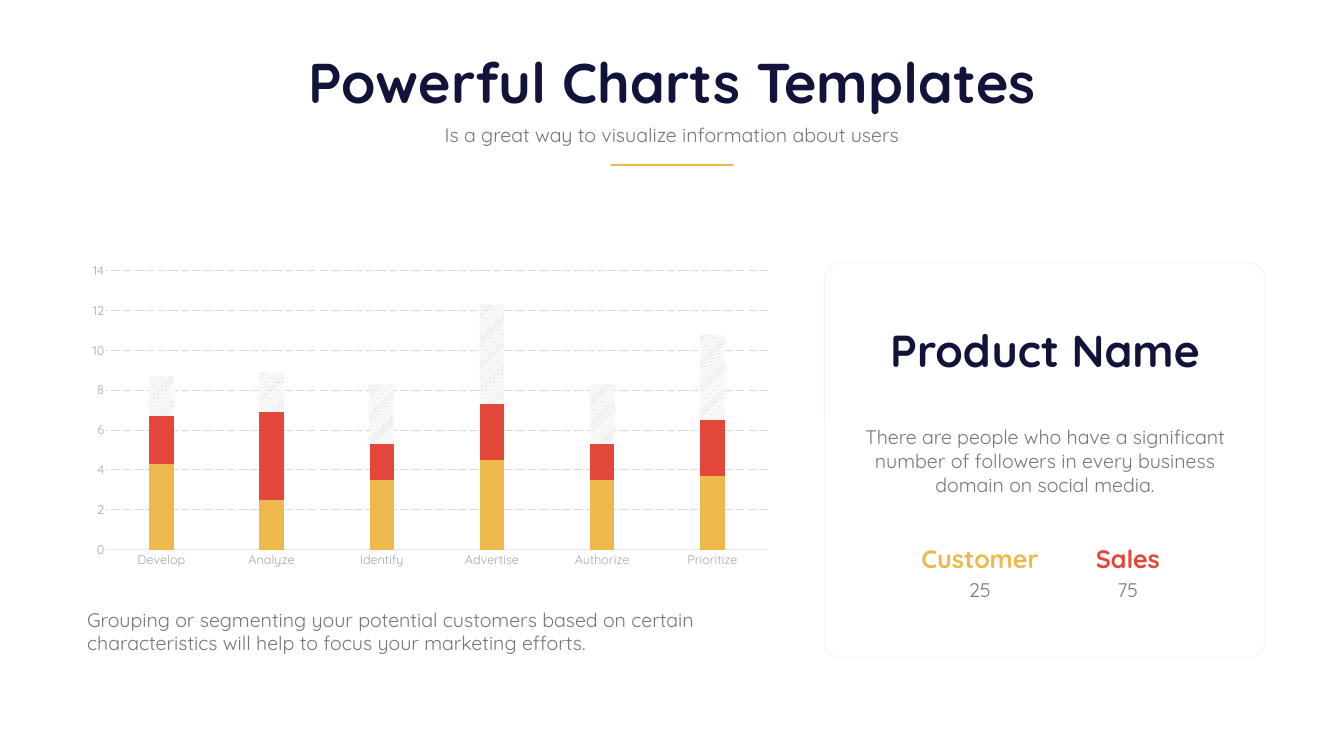
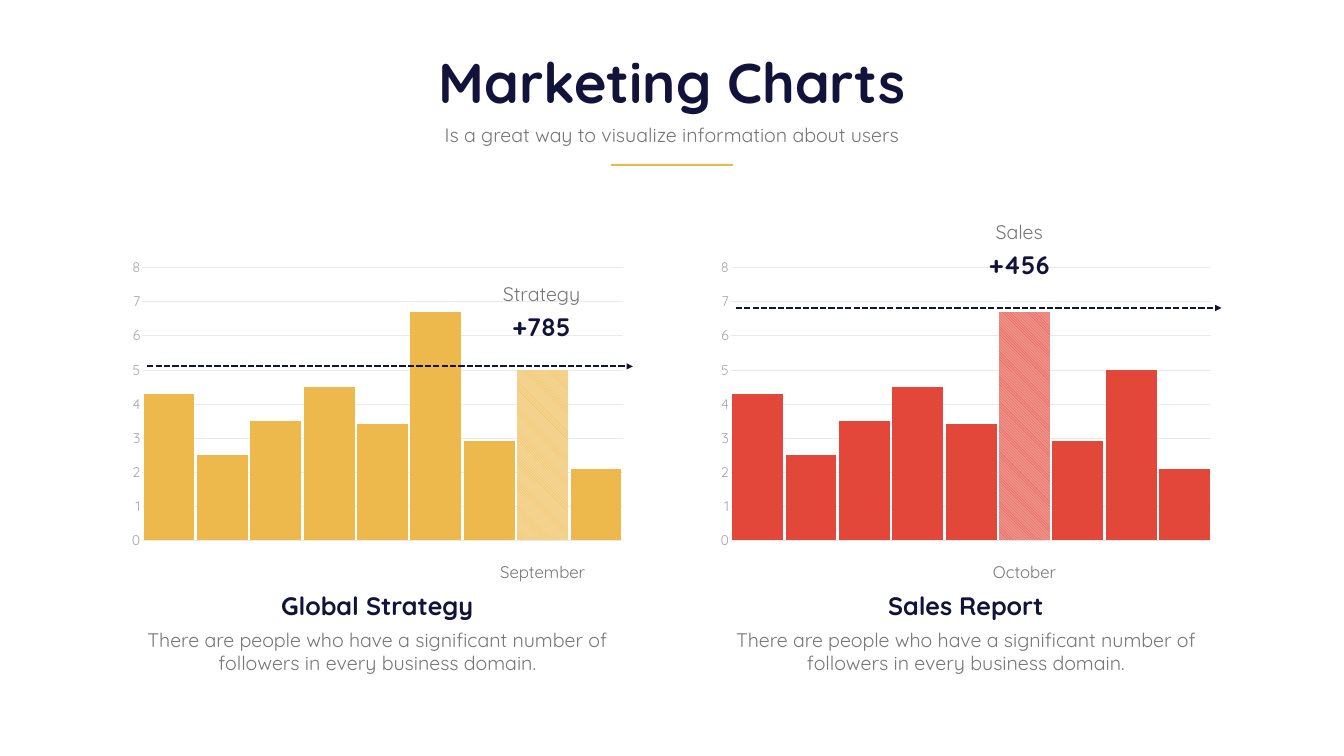
from lxml import etree
from pptx import Presentation
from pptx import util as u
from pptx.chart.data import CategoryChartData
from pptx.dml.color import RGBColor
from pptx.enum import chart as charts, dml, shapes, text
from pptx.oxml import parse_xml
from pptx.oxml.ns import nsdecls, qn

FONT = "Quicksand"
NAVY = RGBColor(0x11, 0x13, 0x3A)
GRAY = RGBColor(0x77, 0x76, 0x78)
AXIS_GRAY = RGBColor(0xA7, 0xA6, 0xA7)
GRID_GRAY = RGBColor(0xD9, 0xD9, 0xD9)
PALE_GRAY = RGBColor(0xEB, 0xEA, 0xEB)
HATCH_GRAY = RGBColor(0xBF, 0xBF, 0xBF)
CARD_EDGE = RGBColor(0xF0, 0xF1, 0xFA)
YELLOW = RGBColor(0xEE, 0xB9, 0x4C)
PALE_YELLOW = RGBColor(0xF5, 0xD5, 0x94)
RED = RGBColor(0xE3, 0x47, 0x39)
PALE_RED = RGBColor(0xEE, 0x91, 0x88)
WHITE = RGBColor(0xFF, 0xFF, 0xFF)

PAGE_W, PAGE_H = 26.67, 15
LINE_PITCH = 40.8
SUBTITLE = "Is a great way to visualize information about users"

STAGES = ["Develop", "Analyze", "Identify", "Advertise", "Authorize", "Prioritize"]
STAGE_SERIES = [
    ("Series 1", [4.3, 2.5, 3.5, 4.5, 3.5, 3.7]),
    ("Series 2", [2.4, 4.4, 1.8, 2.8, 1.8, 2.8]),
    ("Series 3", [2, 2, 3, 5, 3, 4.3]),
]
STAGE_NOTE = ("Grouping or segmenting your potential customers based on certain "
              "characteristics will help to focus your marketing efforts.")
PRODUCT_NOTE = ("There are people who have a significant number of followers "
                "in every business domain on social media.")
# label, value, colour, left, width
PRODUCT_STATS = [("Customer", "25", YELLOW, 18.07, 2.75),
                 ("Sales", "75", RED, 21.36, 2.04)]

MONTHS = [str(number) for number in range(1, 10)]
MONTH_SERIES = [("Series 1", [4.3, 2.5, 3.5, 4.5, 3.4, 6.7, 2.9, 5, 2.1])]
PANEL_NOTE = ("There are people who have a significant number of followers "
              "in every business domain.")
PANELS = [
    dict(heading="Global Strategy", color=YELLOW, pale=PALE_YELLOW, marked=7,
         month="September", arrow_y=7.27, label="Strategy", gain="+785",
         callout=(8.99, 5.55)),
    dict(heading="Sales Report", color=RED, pale=PALE_RED, marked=5,
         month="October", arrow_y=6.11, label="Sales", gain="+456",
         callout=(18.47, 4.32)),
]
PANEL_LEFT, PANEL_STEP = 2.42, 11.68
PANEL_CHART_W = 10.14
PLOT_X, PLOT_W = 0.04, 0.94


def inches(*values):
    return [u.Inches(value) for value in values]


def write(frame, words, size, color, bold=False, align=text.PP_ALIGN.CENTER, pitch=None):
    frame.word_wrap = True
    para = frame.paragraphs[0]
    para.alignment = align
    if pitch:
        para.line_spacing = u.Pt(pitch)
    span = para.add_run()
    span.text = words
    font = span.font
    font.name, font.size, font.bold = FONT, u.Pt(size), bold
    font.color.rgb = color


def add_text(page, at, words, size=28, color=GRAY, **style):
    box = page.shapes.add_textbox(*inches(*at))
    write(box.text_frame, words, size, color, **style)
    return box


def add_panel(page, kind, at, fill, edge=None):
    shape = page.shapes.add_shape(kind, *inches(*at))
    shape.shadow.inherit = False
    shape.fill.solid()
    shape.fill.fore_color.rgb = fill
    if edge is None:
        shape.line.fill.background()
    else:
        shape.line.color.rgb = edge
        shape.line.width = u.Pt(1)
    return shape


def add_page(deck, title, title_w):
    """Add a slide with the shared title, subtitle and yellow rule."""
    page = deck.slides.add_slide(deck.slide_layouts[5])
    heading = page.shapes.title
    heading.left, heading.top, heading.width, heading.height = inches(
        (PAGE_W - title_w) / 2, 0.9, title_w, 1.45)
    frame = heading.text_frame
    frame.auto_size = text.MSO_AUTO_SIZE.NONE
    frame.vertical_anchor = text.MSO_ANCHOR.TOP
    write(frame, title, 80, NAVY, bold=True)
    add_text(page, (8.55, 2.38, 9.56, 0.57), SUBTITLE)
    add_panel(page, shapes.MSO_SHAPE.RECTANGLE, (12.12, 3.25, 2.43, 0.04), YELLOW)
    return page


def fix_plot(chart, x, y, w, h):
    """Pin the inner plot area, in fractions of the chart frame."""
    area = chart._chartSpace.chart.plotArea
    for old in area.findall(qn("c:layout")):
        area.remove(old)
    values = dict(x=x, y=y, w=w, h=h)
    parts = "".join(f'<c:{key} val="{value}"/>' for key, value in values.items())
    area.insert(0, parse_xml(
        f'<c:layout {nsdecls("c")}><c:manualLayout><c:layoutTarget val="inner"/>'
        f'<c:xMode val="edge"/><c:yMode val="edge"/>{parts}</c:manualLayout></c:layout>'))


def style_axis(axis, size):
    axis.major_tick_mark = axis.minor_tick_mark = charts.XL_TICK_MARK.NONE
    font = axis.tick_labels.font
    font.name, font.size = FONT, u.Pt(size)
    font.color.rgb = AXIS_GRAY


def add_columns(page, at, names, series, size, top, unit, gap, overlap):
    data = CategoryChartData()
    data.categories = names
    for name, values in series:
        data.add_series(name, values)
    chart = page.shapes.add_chart(
        charts.XL_CHART_TYPE.COLUMN_STACKED, *inches(*at), data).chart
    chart.has_legend = chart.has_title = False
    chart.font.name, chart.font.size = FONT, u.Pt(size)
    chart.font.color.rgb = GRAY
    plot = chart.plots[0]
    plot.gap_width, plot.overlap, plot.vary_by_categories = gap, overlap, False
    for column in plot.series:
        column.invert_if_negative = False
    style_axis(chart.category_axis, size)
    chart.category_axis.format.line.color.rgb = PALE_GRAY
    chart.category_axis.format.line.width = u.Pt(0.75)
    scale = chart.value_axis
    style_axis(scale, size)
    scale.minimum_scale, scale.maximum_scale, scale.major_unit = 0, top, unit
    scale.format.line.fill.background()
    scale.has_major_gridlines = True
    return chart


def style_grid(chart, color, width, dash=None):
    line = chart.value_axis.major_gridlines.format.line
    line.color.rgb = color
    line.width = u.Pt(width)
    line.dash_style = dash


def paint(item, color):
    item.format.fill.solid()
    item.format.fill.fore_color.rgb = color


def hatch(item, pattern, front, back):
    fill = item.format.fill
    fill.patterned()
    fill.pattern = pattern
    fill.fore_color.rgb = front
    fill.back_color.rgb = back


def add_dashed_arrow(page, left, right, y):
    arrow = page.shapes.add_connector(
        shapes.MSO_CONNECTOR.STRAIGHT, *inches(left, y, right, y))
    arrow.line.color.rgb = NAVY
    arrow.line.width = u.Pt(3)
    arrow.line.dash_style = dml.MSO_LINE.SQUARE_DOT
    props = arrow._element.spPr
    etree.SubElement(props.find(qn("a:ln")), qn("a:tailEnd"), type="triangle")
    etree.SubElement(props, qn("a:effectLst"))


def build_stage_page(deck):
    page = add_page(deck, "Powerful Charts Templates", 18.9)
    chart = add_columns(page, (1.55, 5.12, 13.96, 6.29), STAGES, STAGE_SERIES,
                        size=18, top=14, unit=2, gap=350, overlap=100)
    fix_plot(chart, 0.04, 0.04, 0.94, 0.88)
    style_grid(chart, GRID_GRAY, 1.5, dml.MSO_LINE.LONG_DASH)
    customers, sales, rest = chart.plots[0].series
    paint(customers, YELLOW)
    paint(sales, RED)
    hatch(rest, dml.MSO_PATTERN.WIDE_UPWARD_DIAGONAL, HATCH_GRAY, WHITE)
    add_text(page, (1.63, 12.01, 13.88, 1.04), STAGE_NOTE, align=text.PP_ALIGN.LEFT)

    card = add_panel(page, shapes.MSO_SHAPE.ROUNDED_RECTANGLE,
                     (16.36, 5.22, 8.74, 7.83), WHITE, CARD_EDGE)
    card.adjustments[0] = 0.04
    add_text(page, (16.91, 8.39, 7.65, 1.51), PRODUCT_NOTE)
    name = add_text(page, (17.28, 6.34, 6.91, 1.19), "Product Name", 64, NAVY, bold=True)
    frame = name.text_frame
    frame.vertical_anchor = text.MSO_ANCHOR.MIDDLE
    frame.margin_left = frame.margin_right = u.Inches(0.06)
    frame.margin_top = frame.margin_bottom = u.Inches(0.06)
    for label, value, color, left, width in PRODUCT_STATS:
        add_text(page, (left, 11.32, width, 0.62), value, pitch=LINE_PITCH)
        add_text(page, (left, 10.76, width, 0.68), label, 36, color,
                 bold=True, pitch=LINE_PITCH)


def add_month_panel(page, left, panel):
    chart = add_columns(page, (left, 5.01, PANEL_CHART_W, 6.01), MONTHS, MONTH_SERIES,
                        size=20, top=8, unit=1, gap=5, overlap=-100)
    fix_plot(chart, PLOT_X, 0.05, PLOT_W, 0.9)
    style_grid(chart, PALE_GRAY, 0.75)
    chart.category_axis.visible = False
    bars = chart.plots[0].series[0]
    paint(bars, panel["color"])
    hatch(bars.points[panel["marked"]], dml.MSO_PATTERN.WIDE_DOWNWARD_DIAGONAL,
          panel["color"], panel["pale"])

    bar_share = (panel["marked"] + 0.5) / len(MONTHS)
    bar_center = left + PANEL_CHART_W * (PLOT_X + PLOT_W * bar_share)
    add_text(page, (bar_center - 1.35, 10.92, 2.7, 0.61), panel["month"], 24,
             pitch=LINE_PITCH)
    add_dashed_arrow(page, left + 0.5, left + PANEL_CHART_W, panel["arrow_y"])
    add_text(page, (left + 0.28, 12.4, 9.57, 1.04), PANEL_NOTE)
    add_text(page, (left + 0.28, 11.66, 9.57, 0.71), panel["heading"], 36, NAVY, bold=True)
    x, y = panel["callout"]
    add_text(page, (x, y, 3.51, 0.57), panel["label"])
    add_text(page, (x, y + 0.57, 3.51, 0.71), panel["gain"], 36, NAVY, bold=True)


def build_month_page(deck):
    page = add_page(deck, "Marketing Charts", 12.91)
    for index, panel in enumerate(PANELS):
        add_month_panel(page, PANEL_LEFT + index * PANEL_STEP, panel)


def main():
    deck = Presentation()
    deck.slide_width, deck.slide_height = inches(PAGE_W, PAGE_H)
    build_stage_page(deck)
    build_month_page(deck)
    deck.save("out.pptx")


if __name__ == "__main__":
    main()
